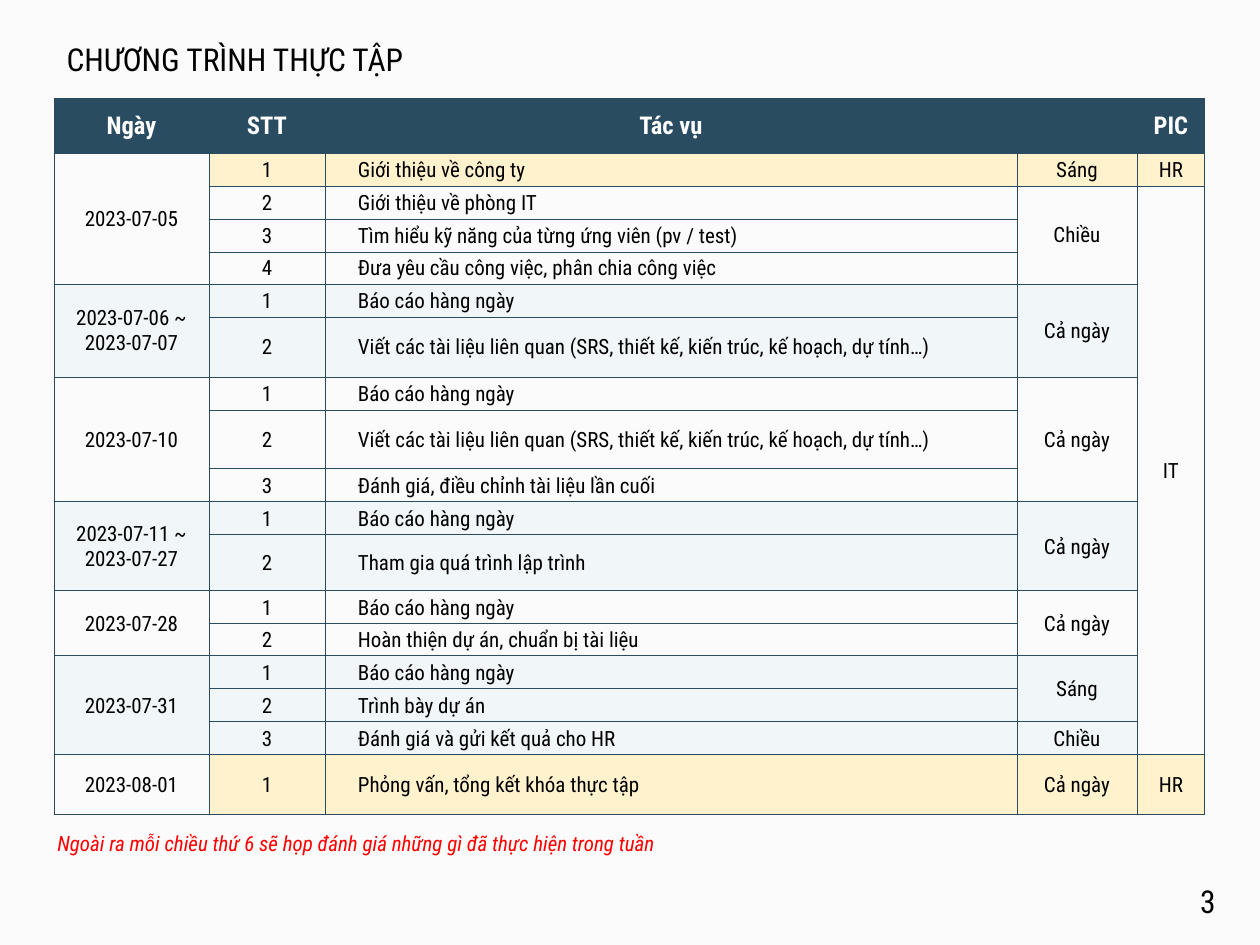
from itertools import pairwise
from lxml.etree import SubElement
from pptx import Presentation
from pptx.dml.color import RGBColor
from pptx.enum.text import MSO_ANCHOR, MSO_AUTO_SIZE, PP_ALIGN
from pptx.oxml import parse_xml
from pptx.oxml.ns import nsdecls, qn
from pptx.util import Emu, Pt

THEME = {
    "font": "Roboto Condensed",
    "page": "FBFBFB", "navy": "2A4C61", "gold": "FFF2CC", "tint": "F1F6F9",
    "black": "000000", "white": "FFFFFF", "red": "FF0000",
    "large": 18, "head": 14, "text": 12, "rule": 0.5,
}
HEADS = ["Ngày", "STT", "Tác vụ", "", "PIC"]
COLS = [155, 116, 692, 120, 68]
EDGES = [0, 55, 88, 121, 154, 186, 219, 279, 312, 371, 404, 437,
         493, 526, 558, 591, 624, 657, 717]
DAILY = "Báo cáo hàng ngày"
DOCS = "Viết các tài liệu liên quan (SRS, thiết kế, kiến trúc, kế hoạch, dự tính…)"
PLAN = [
    ("2023-07-05", [
        ("Giới thiệu về công ty", "Sáng", "HR"),
        ("Giới thiệu về phòng IT", "Chiều", "IT"),
        ("Tìm hiểu kỹ năng của từng ứng viên (pv / test)", "", ""),
        ("Đưa yêu cầu công việc, phân chia công việc", "", "")]),
    ("2023-07-06 ~ 2023-07-07", [(DAILY, "Cả ngày", ""), (DOCS, "", "")]),
    ("2023-07-10", [
        (DAILY, "Cả ngày", ""), (DOCS, "", ""),
        ("Đánh giá, điều chỉnh tài liệu lần cuối", "", "")]),
    ("2023-07-11 ~ 2023-07-27", [
        (DAILY, "Cả ngày", ""), ("Tham gia quá trình lập trình", "", "")]),
    ("2023-07-28", [
        (DAILY, "Cả ngày", ""), ("Hoàn thiện dự án, chuẩn bị tài liệu", "", "")]),
    ("2023-07-31", [
        (DAILY, "Sáng", ""), ("Trình bày dự án", "", ""),
        ("Đánh giá và gửi kết quả cho HR", "Chiều", "")]),
    ("2023-08-01", [("Phỏng vấn, tổng kết khóa thực tập", "Cả ngày", "HR")]),
]


def px(num):
    """Turn px into EMU at 126 px to the inch."""
    return Emu(round(num * 914400 / 126))


def assign(item, vals):
    """Set each attribute in vals on item."""
    for key, val in vals.items():
        setattr(item, key, val)


def place(shape, box):
    """Move and size a shape to a px box."""
    assign(shape, dict(zip(("left", "top", "width", "height"), map(px, box))))


def write(frame, text, size, color, align=PP_ALIGN.LEFT, **style):
    """Write one styled line of text and return its paragraph."""
    para = frame.paragraphs[0]
    para.alignment = align
    if text:
        run = para.add_run()
        run.text = text
        assign(run.font, {"name": THEME["font"], "size": Pt(THEME[size]), **style})
        run.font.color.rgb = RGBColor.from_string(THEME[color])
    else:
        SubElement(para._p, qn("a:endParaRPr"), sz=str(THEME[size] * 100))
    return para


def paint(cell, color):
    """Give a cell its rules and its fill."""
    if color:
        cell.fill.solid()
        cell.fill.fore_color.rgb = RGBColor.from_string(THEME[color])
    else:
        cell.fill.background()
    for spot, side in enumerate("LRTB"):
        cell._tc.get_or_add_tcPr().insert(spot, parse_xml(
            f'<a:ln{side} {nsdecls("a")} w="{Pt(THEME["rule"])}"><a:solidFill>'
            f'<a:srgbClr val="{THEME["navy"]}"/></a:solidFill></a:ln{side}>'))


def add_title(slide, box):
    """Fill the title placeholder."""
    title = slide.shapes.title
    place(title, box)
    frame = title.text_frame
    assign(frame, {"vertical_anchor": MSO_ANCHOR.MIDDLE, "word_wrap": True,
                   "auto_size": MSO_AUTO_SIZE.NONE})
    write(frame, "CHƯƠNG TRÌNH THỰC TẬP", "large", "black").line_spacing = 0.9


def plan_rows():
    """List the texts and fills of each table row."""
    rows = [(HEADS, ["navy"] * 5)]
    for turn, (date, tasks) in enumerate(PLAN):
        for num, (task, slot, pic) in enumerate(tasks, 1):
            tone = "tint" if turn % 2 else None
            fills = [tone] + (["gold"] * 4 if pic == "HR" else [tone] * 3 + [None])
            rows.append(([date if num == 1 else "", str(num), task, slot, pic], fills))
    return rows


def add_plan(slide, box):
    """Build the schedule table and join cells over blank ones below."""
    rows = plan_rows()
    shape = slide.shapes.add_table(len(rows), len(COLS), *map(px, box))
    table = shape.table
    assign(table, {"first_row": False, "horz_banding": False})
    for col, width in zip(table.columns, COLS):
        col.width = px(width)
    for row, (top, end) in zip(table.rows, pairwise(EDGES)):
        row.height = px(end - top)
    for down, (texts, fills) in enumerate(rows):
        for over, (text, fill) in enumerate(zip(texts, fills)):
            cell = table.cell(down, over)
            paint(cell, fill)
            assign(cell, {"vertical_anchor": MSO_ANCHOR.MIDDLE, "margin_left": px(1),
                          "margin_right": px(1), "margin_top": px(1), "margin_bottom": 0})
            head, task = down == 0, down > 0 and over == 2
            para = write(cell.text_frame, text, "head" if head else "text",
                         "white" if head else "black",
                         PP_ALIGN.LEFT if task else PP_ALIGN.CENTER, bold=head)
            if task:
                para.level = 1
                assign_indent = {"marL": str(px(32)), "indent": "0"}
                para._p.get_or_add_pPr().attrib.update(assign_indent)
    for over in (0, 3, 4):
        starts = [down for down in range(1, len(rows)) if rows[down][0][over]]
        for top, end in pairwise(starts + [len(rows)]):
            if end - top > 1:
                table.cell(top, over).merge(table.cell(end - 1, over))


def add_note(slide, box):
    """Add the red note under the table."""
    frame = slide.shapes.add_textbox(*map(px, box)).text_frame
    assign(frame, {"word_wrap": False, "auto_size": MSO_AUTO_SIZE.SHAPE_TO_FIT_TEXT})
    write(frame, "Ngoài ra mỗi chiều thứ 6 sẽ họp đánh giá những gì đã thực hiện trong tuần",
          "text", "red", italic=True)


def add_number(slide, box):
    """Add the page number."""
    frame = slide.shapes.add_textbox(*map(px, box)).text_frame
    assign(frame, {"word_wrap": True, "vertical_anchor": MSO_ANCHOR.MIDDLE})
    write(frame, "3", "large", "black", PP_ALIGN.RIGHT)


def main():
    """Build and save the slide."""
    deck = Presentation()
    assign(deck, {"slide_width": px(1260), "slide_height": px(945)})
    slide = deck.slides.add_slide(deck.slide_layouts[5])
    slide.background.fill.solid()
    slide.background.fill.fore_color.rgb = RGBColor.from_string(THEME["page"])
    add_number(slide, (944, 876, 284, 50))
    add_title(slide, (54, 39, 1152, 44))
    add_plan(slide, (54, 98, sum(COLS), EDGES[-1]))
    add_note(slide, (45, 824, 644, 38))
    deck.save("out.pptx")


if __name__ == "__main__":
    main()
